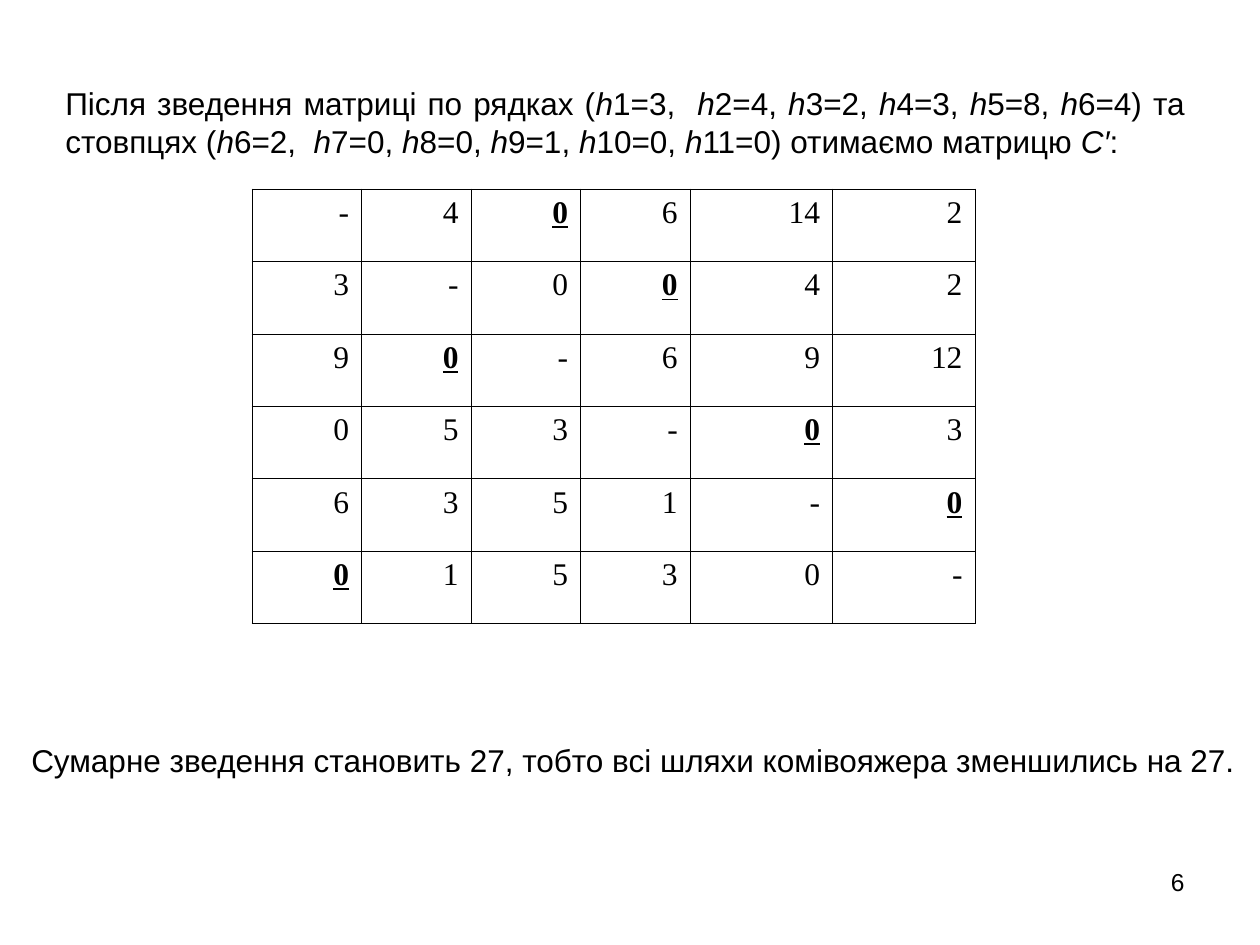
from lxml.etree import SubElement
from pptx import Presentation
from pptx.dml.color import RGBColor
from pptx.enum.text import MSO_ANCHOR as Anchor, MSO_AUTO_SIZE as AutoSize, PP_ALIGN as Align
from pptx.oxml.ns import qn
from pptx.util import Inches, Pt

BLACK = "000000"
COL_WIDTHS = [0.87] * 4 + [1.13] * 2
ROW_HEIGHT = 0.575

# Asterisks enclose the emphasised pieces of a text
INTRO = ("Після зведення матриці по рядках (*h*1=3,  *h*2=4, *h*3=2, *h*4=3, *h*5=8, *h*6=4) "
         "та стовпцях (*h*6=2,  *h*7=0, *h*8=0, *h*9=1, *h*10=0, *h*11=0) "
         "отимаємо матрицю *С′*:")
TOTAL = "Сумарне зведення становить 27, тобто всі шляхи комівояжера зменшились на 27."
MATRIX = [
    ["-", "4", "*0*", "6", "14", "2"],
    ["3", "-", "0", "*0*", "4", "2"],
    ["9", "*0*", "-", "6", "9", "12"],
    ["0", "5", "3", "-", "*0*", "3"],
    ["6", "3", "5", "1", "-", "*0*"],
    ["*0*", "1", "5", "3", "0", "-"],
]


def rgb(color):
    return RGBColor.from_string(color)


def write(tf, text, font="Arial", size=18, color=BLACK, align=Align.LEFT, emphasis=("italic",)):
    """Fill the first paragraph, applying the emphasis to the marked pieces."""
    p = tf.paragraphs[0]
    p.alignment = align
    for i, piece in enumerate(text.split("*")):
        if not piece:
            continue
        r = p.add_run()
        r.text = piece
        r.font.name = font
        r.font.size = Pt(size)
        r.font.color.rgb = rgb(color)
        if i % 2:
            for name in emphasis:
                setattr(r.font, name, True)


def add_text(slide, box, text, anchor=Anchor.MIDDLE, wrap=True, grow=True, **fmt):
    tf = slide.shapes.add_textbox(*map(Inches, box)).text_frame
    tf.word_wrap = wrap
    tf.vertical_anchor = anchor
    tf.auto_size = AutoSize.SHAPE_TO_FIT_TEXT if grow else AutoSize.NONE
    write(tf, text, **fmt)


def set_borders(cell, color=BLACK, width=0.45):
    tc_pr = cell._tc.get_or_add_tcPr()
    for side in ("lnL", "lnR", "lnT", "lnB"):
        ln = SubElement(tc_pr, qn(f"a:{side}"), w=str(Pt(width)))
        fill = SubElement(ln, qn("a:solidFill"))
        SubElement(fill, qn("a:srgbClr"), val=color)


def add_matrix(slide, left, top, rows):
    size = (sum(COL_WIDTHS), ROW_HEIGHT * len(rows))
    table = slide.shapes.add_table(len(rows), len(COL_WIDTHS),
                                   *map(Inches, (left, top, *size))).table
    table.first_row = table.horz_banding = False
    for col, width in zip(table.columns, COL_WIDTHS):
        col.width = Inches(width)
    for row, values in zip(table.rows, rows):
        row.height = Inches(ROW_HEIGHT)
        for cell, value in zip(row.cells, values):
            set_borders(cell)
            cell.fill.background()
            write(cell.text_frame, value, font="Times New Roman", align=Align.RIGHT,
                  emphasis=("bold", "underline"))


def main():
    prs = Presentation()
    prs.slide_width, prs.slide_height = Inches(10), Inches(7.5)
    slide = prs.slides.add_slide(prs.slide_layouts[6])

    # Reduced matrix
    add_matrix(slide, 2, 1.5, MATRIX)

    # Explanation above and total below
    add_text(slide, (0.42, 0.62, 9.08, 0.7), INTRO, align=Align.JUSTIFY)
    add_text(slide, (0.15, 5.83, 9.84, 0.4), TOTAL, wrap=False)

    # Page number
    add_text(slide, (7.17, 6.83, 2.33, 0.52), "6", anchor=Anchor.TOP, grow=False,
             size=14, align=Align.RIGHT)

    prs.save("out.pptx")


if __name__ == "__main__":
    main()
